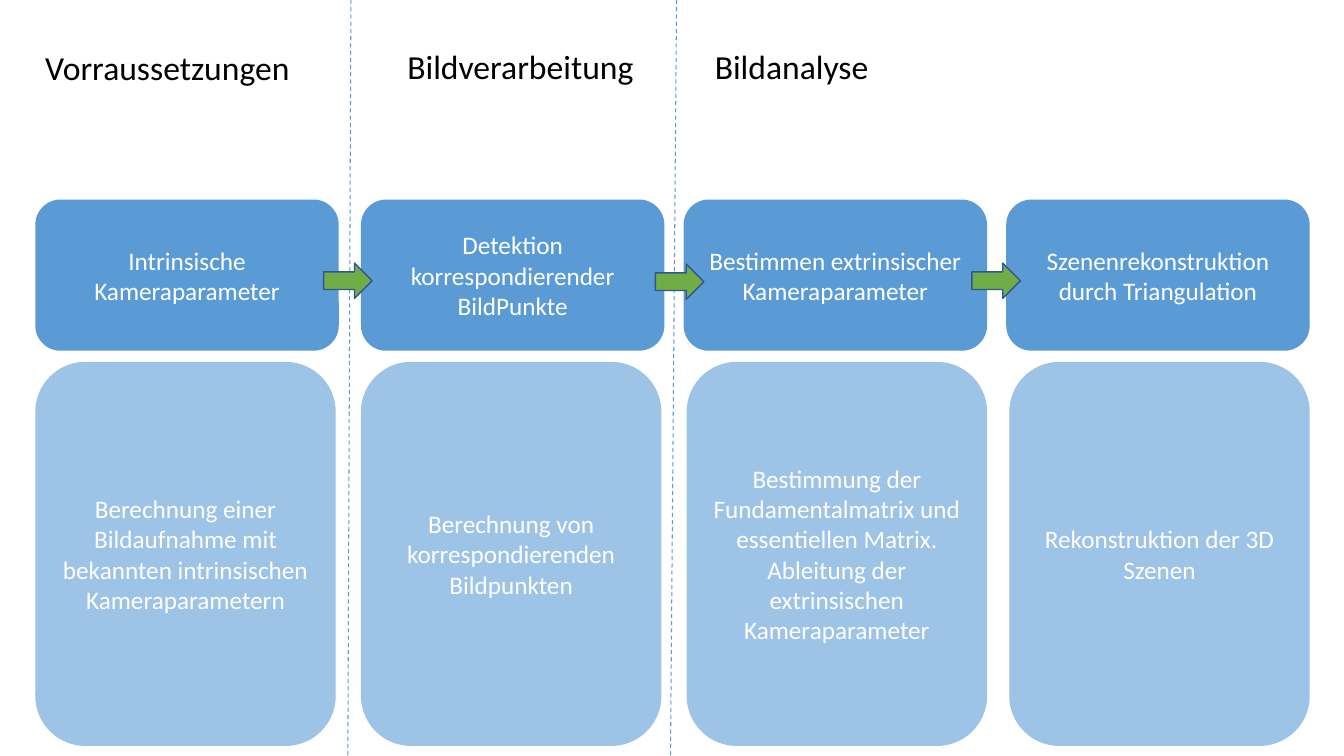
import pptx
import pptx.util
import pptx.dml.color
import pptx.enum.dml
import pptx.enum.shapes
import pptx.enum.text
import pptx.oxml.ns
import lxml.etree

Inches, Pt = pptx.util.Inches, pptx.util.Pt
SHAPE = pptx.enum.shapes.MSO_SHAPE
COLORS = {"step": "5B9BD5", "detail": "9DC3E6", "arrow": "70AD47",
          "arrow_line": "325491", "white": "FFFFFF", "black": "000000"}
FONT = "Calibri"

# Grid: 15 rows on the slide, columns of equal width
ROW, COL = 0.5, 3.01
LEFTS = [0.35, 3.58, 6.78, 9.98]

# Offsets are shares of the column width; divider runs from top to bottom offset
STAGES = [
    {"heading": ("Vorraussetzungen", 0, 0.84),
     "step": "Intrinsische Kameraparameter",
     "detail": ("Berechnung einer Bildaufnahme mit bekannten intrinsischen "
                "Kameraparametern", 0),
     "divider": (1.04, 1.03), "arrow": (0.95, 5.22)},
    {"heading": ("Bildverarbeitung", 0.12, 0.82),
     "step": "Detektion korrespondierender BildPunkte",
     "detail": ("Berechnung von korrespondierenden Bildpunkten", 0),
     "divider": (1.04, 1.02), "arrow": (0.97, 5.24)},
    {"heading": ("Bildanalyse", 0.07, 0.82),
     "step": "Bestimmen extrinsischer Kameraparameter",
     "detail": ("Bestimmung der Fundamentalmatrix und essentiellen Matrix. "
                "Ableitung der extrinsischen Kameraparameter", 0.01),
     "arrow": (0.95, 5.22)},
    {"step": "Szenenrekonstruktion durch Triangulation",
     "detail": ("Rekonstruktion der 3D Szenen", 0.01)},
]


def rgb(name):
    return pptx.dml.color.RGBColor.from_string(COLORS[name])


def grid_box(left, col, row, cols, rows):
    """Box in a column that starts at left."""
    return [Inches(v) for v in (left + col * COL, row * ROW, cols * COL, rows * ROW)]


def add_text(tf, text, size, color):
    tf.word_wrap = True
    p = tf.paragraphs[0]
    r = p.add_run()
    r.text = text
    r.font.name, r.font.size = FONT, Pt(size)
    r.font.color.rgb = rgb(color)
    return p


def add_filled(s, kind, box, fill):
    sp = s.shapes.add_shape(kind, *box)
    sp.shadow.inherit = False
    sp.fill.solid()
    sp.fill.fore_color.rgb = rgb(fill)
    sp.line.fill.background()
    return sp


def add_card(s, box, text, fill):
    sp = add_filled(s, SHAPE.ROUNDED_RECTANGLE, box, fill)
    tf = sp.text_frame
    tf.vertical_anchor = pptx.enum.text.MSO_ANCHOR.MIDDLE
    p = add_text(tf, text, 18, "white")
    p.alignment = pptx.enum.text.PP_ALIGN.CENTER


def add_divider(s, left, top_col, bottom_col):
    x1, x2 = (Inches(left + col * COL) for col in (top_col, bottom_col))
    line = s.shapes.add_connector(pptx.enum.shapes.MSO_CONNECTOR.STRAIGHT,
                                  x1, 0, x2, Inches(15 * ROW))
    line.line.color.rgb = rgb("step")
    line.line.width = Pt(0.75)
    line.line.dash_style = pptx.enum.dml.MSO_LINE.DASH
    lxml.etree.SubElement(line._element.spPr, pptx.oxml.ns.qn("a:effectLst"))


def add_arrow(s, left, col, row):
    sp = add_filled(s, SHAPE.RIGHT_ARROW, grid_box(left, col, row, 0.16, 0.7), "arrow")
    sp.line.color.rgb = rgb("arrow_line")
    sp.line.width = Pt(1)


def add_stage(s, left, stage):
    """One column: heading, step card and detail card."""
    if "heading" in stage:
        text, col, row = stage["heading"]
        tb = s.shapes.add_textbox(*grid_box(left, col, row, 1, 1))
        add_text(tb.text_frame, text, 24, "black")
    add_card(s, grid_box(left, 0, 3.96, 1, 3), stage["step"], "step")
    text, col = stage["detail"]
    add_card(s, grid_box(left, col, 7.18, 0.99, 7.62), text, "detail")


prs = pptx.Presentation()
prs.slide_width, prs.slide_height = Inches(13.33), Inches(15 * ROW)
s = prs.slides.add_slide(prs.slide_layouts[6])

for left, stage in zip(LEFTS, STAGES):
    add_stage(s, left, stage)

# Dividers and arrows lie over the cards
for part, draw in (("divider", add_divider), ("arrow", add_arrow)):
    for left, stage in zip(LEFTS, STAGES):
        if part in stage:
            draw(s, left, *stage[part])

prs.save("out.pptx")
